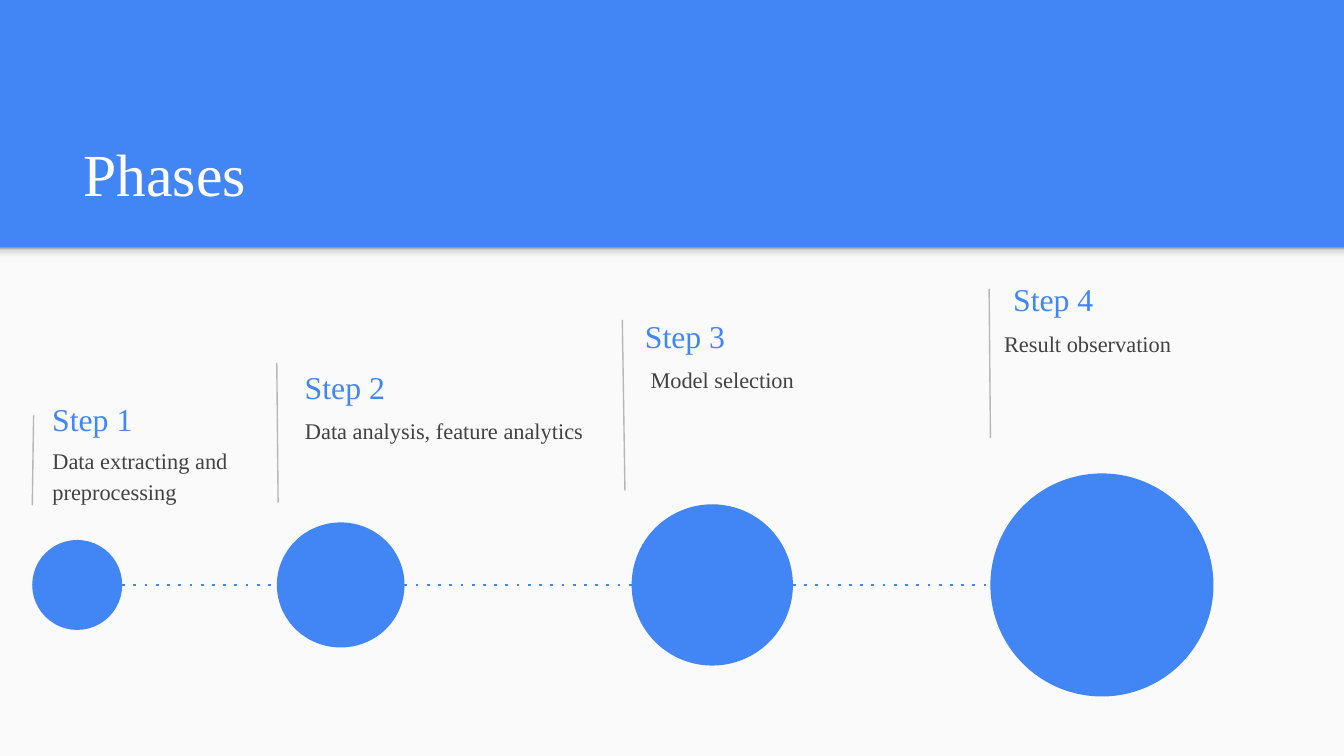
import copy
from dataclasses import dataclass

import pptx
import pptx.dml.color
import pptx.enum.dml
import pptx.enum.shapes
import pptx.enum.text
import pptx.oxml
import pptx.oxml.ns
import pptx.util

Pt = pptx.util.Pt
RGBColor = pptx.dml.color.RGBColor
MSO_SHAPE = pptx.enum.shapes.MSO_SHAPE
MSO_ANCHOR = pptx.enum.text.MSO_ANCHOR

BLUE = RGBColor(0x42, 0x85, 0xF4)
PAPER = RGBColor(0xFA, 0xFA, 0xFA)
WHITE = RGBColor(0xFF, 0xFF, 0xFF)
RULE_GRAY = RGBColor(0xB7, 0xB7, 0xB7)
TEXT_GRAY = RGBColor(0x42, 0x42, 0x42)
SHADOW_STOPS = [
    (0, RGBColor(0xF9, 0xF9, 0xF9)),
    (0.36, RGBColor(0xF9, 0xF9, 0xF9)),
    (0.8, RGBColor(0xDE, 0xDE, 0xDE)),
    (1, RGBColor(0x99, 0x99, 0x99)),
]
FONT = "Times New Roman"
WIDTH, HEIGHT = 720, 405
PANEL_TOP = 132.5
TIMELINE_Y = 313.4


@dataclass
class Step:
    """A phase: its wording, text box, detail offset, rule ends and circle."""

    heading: str
    detail: str
    box: tuple
    detail_offset: tuple
    rule: tuple
    circle: tuple
    line_spacing: float = 1.0


STEPS = [
    Step("Step 1", "Data extracting and preprocessing", (20.9, 208.8, 127.4, 93.6),
         (0, 21.6), (18, 222.5, 17.3, 270.7), (17.3, 48.2, 48.2), 1.15),
    Step("Step 2", "Data analysis, feature analytics", (156.2, 191.5, 181.4, 85),
         (0, 24.5), (148.3, 194.4, 149, 269.3), (148.3, 68.4, 67)),
    Step("Step 3", "Model selection", (338.4, 164.2, 181.4, 85),
         (2.9, 24.5), (333.4, 171.4, 334.8, 262.8), (338.4, 86.4, 86.4)),
    Step("Step 4", "Result observation", (535.7, 144.7, 189.4, 85.7),
         (-5, 25.2), (529.9, 154.8, 530.6, 234.7), (530.6, 119.5, 119.5)),
]


def place(shape, left, top, width, height):
    """Move and size a shape."""
    shape.left, shape.top = Pt(left), Pt(top)
    shape.width, shape.height = Pt(width), Pt(height)


def write(shape, text, size, color, anchor, line_spacing=1.0):
    """Write one plain left-aligned paragraph in a shape."""
    frame = shape.text_frame
    frame.word_wrap = True
    frame.auto_size = pptx.enum.text.MSO_AUTO_SIZE.NONE
    frame.vertical_anchor = anchor
    frame.margin_left = frame.margin_right = Pt(7.2)
    frame.margin_top = frame.margin_bottom = Pt(7.2)
    paragraph = frame.paragraphs[0]
    properties = paragraph._p.get_or_add_pPr()
    properties.set("marL", "0")
    properties.set("indent", "0")
    properties.append(pptx.oxml.parse_xml(
        "<a:buNone %s/>" % pptx.oxml.ns.nsdecls("a")))
    paragraph.alignment = pptx.enum.text.PP_ALIGN.LEFT
    paragraph.space_before = Pt(0)
    paragraph.line_spacing = line_spacing
    run = paragraph.add_run()
    run.text = text
    run.font.name = FONT
    run.font.size = Pt(size)
    run.font.bold = False
    run.font.color.rgb = color


def add_filled(slide, preset, box, color):
    """Add a flat preset shape without outline."""
    shape = slide.shapes.add_shape(preset, *map(Pt, box))
    shape.shadow.inherit = False
    shape.fill.solid()
    shape.fill.fore_color.rgb = color
    shape.line.fill.background()
    return shape


def add_line(slide, ends, color, width):
    """Add a straight line without shadow."""
    line = slide.shapes.add_connector(
        pptx.enum.shapes.MSO_CONNECTOR.STRAIGHT, *map(Pt, ends))
    line.line.color.rgb = color
    line.line.width = Pt(width)
    line._element.spPr.append(pptx.oxml.parse_xml(
        "<a:effectLst %s/>" % pptx.oxml.ns.nsdecls("a")))
    return line


def add_panel(slide, left, top, width, height):
    """Add the light panel with the shadow along its top edge, behind the text."""
    panel = add_filled(slide, MSO_SHAPE.RECTANGLE, (left, top, width, height), PAPER)
    shadow = add_filled(slide, MSO_SHAPE.RECTANGLE, (left, top, width, 8.6), PAPER)
    shadow.fill.gradient()
    shadow.fill.gradient_angle = 90
    stop_list = shadow._element.spPr.find(".//" + pptx.oxml.ns.qn("a:gsLst"))
    for _ in range(len(SHADOW_STOPS) - len(stop_list)):
        stop_list.append(copy.deepcopy(stop_list[0]))
    for stop, (position, color) in zip(shadow.fill.gradient_stops, SHADOW_STOPS):
        stop.position = position
        stop.color.rgb = color
    tree = panel._element.getparent()
    tree.insert(2, panel._element)
    tree.insert(3, shadow._element)


def add_header(slide, left, top, width, height):
    """Fill the title on the blue band."""
    title = slide.shapes.title
    place(title, left, top, width, height)
    write(title, "Phases", 32, WHITE, MSO_ANCHOR.BOTTOM)


def add_step(slide, step, body, left, top, width, height):
    """Add a step's rule, heading and detail text."""
    shift, drop = step.detail_offset
    add_line(slide, step.rule, RULE_GRAY, 0.75)
    heading = slide.shapes.add_textbox(Pt(left), Pt(top), Pt(79.2), Pt(31))
    write(heading, step.heading, 17, BLUE, MSO_ANCHOR.MIDDLE)
    place(body, left + shift, top + drop, width, height - drop)
    write(body, step.detail, 12, TEXT_GRAY, MSO_ANCHOR.TOP, step.line_spacing)


def add_timeline(slide, center_y, circles):
    """Add the growing circles and the dotted lines between them."""
    for (left, width, _), (next_left, _, _) in zip(circles, circles[1:]):
        line = add_line(slide, (left + width, center_y, next_left, center_y), BLUE, 1.5)
        line.line.dash_style = pptx.enum.dml.MSO_LINE.ROUND_DOT
        line._element.spPr.find(".//" + pptx.oxml.ns.qn("a:prstDash")).set("val", "dot")
    for left, width, height in circles:
        add_filled(slide, MSO_SHAPE.OVAL,
                   (left, center_y - height / 2, width, height), BLUE)


def main():
    """Build and save the slide."""
    deck = pptx.Presentation()
    deck.slide_width, deck.slide_height = Pt(WIDTH), Pt(HEIGHT)
    slide = deck.slides.add_slide(deck.slide_layouts.get_by_name("Comparison"))
    slide.background.fill.solid()
    slide.background.fill.fore_color.rgb = BLUE
    bodies = [holder for holder in slide.placeholders
              if holder.placeholder_format.idx in range(1, 5)]
    add_panel(slide, 0, PANEL_TOP, WIDTH, HEIGHT - PANEL_TOP)
    add_header(slide, 37.4, 58.3, 647.3, 60.5)
    for step, body in zip(STEPS, bodies):
        add_step(slide, step, body, *step.box)
    add_timeline(slide, TIMELINE_Y, [step.circle for step in STEPS])
    deck.save("out.pptx")


if __name__ == "__main__":
    main()
